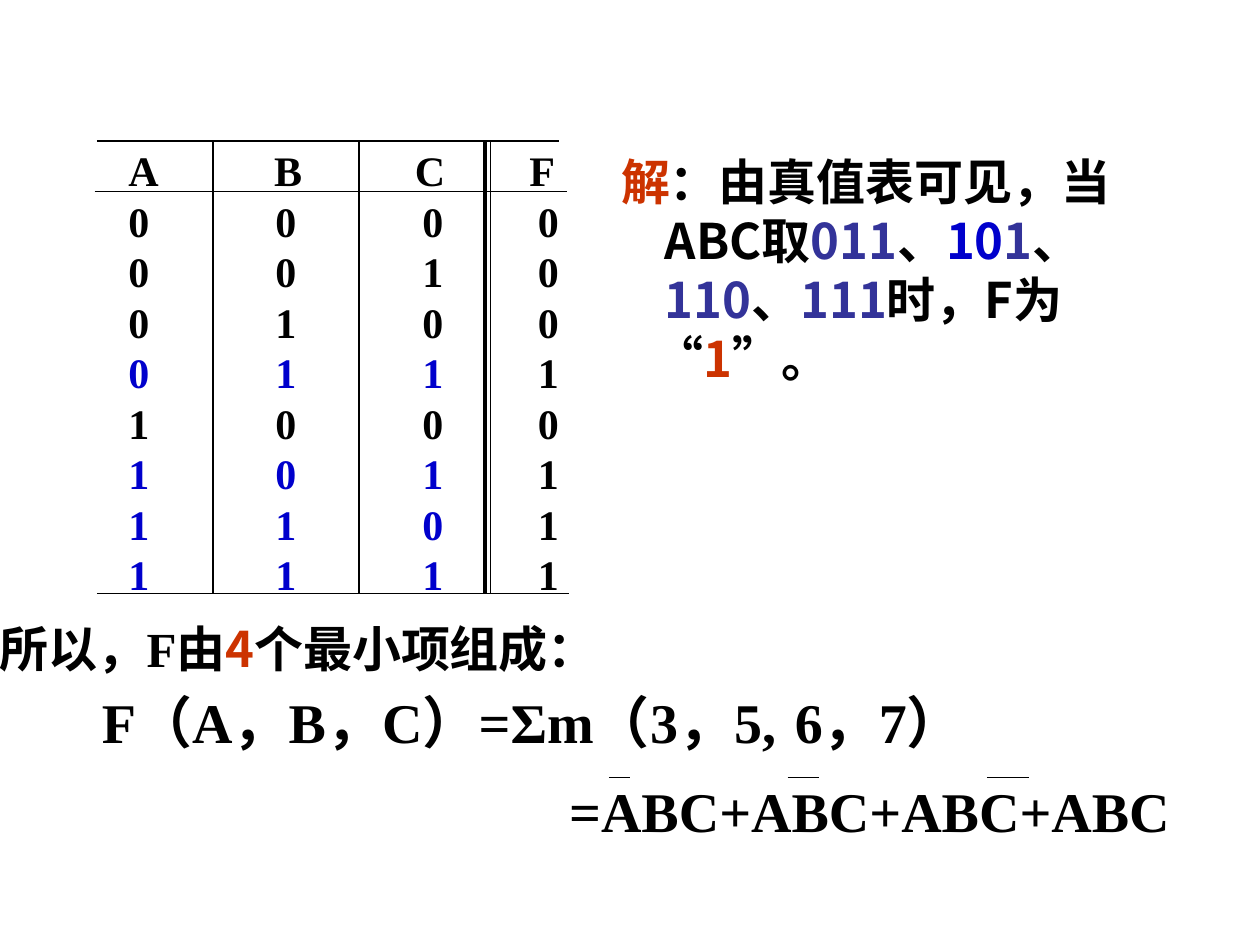
from dataclasses import dataclass

from lxml.etree import SubElement
from pptx import Presentation
from pptx.dml.color import RGBColor as Color
from pptx.enum.shapes import MSO_CONNECTOR as Connector
from pptx.enum.text import MSO_ANCHOR as Anchor, PP_ALIGN as Align
from pptx.oxml.ns import qn
from pptx.util import Pt


@dataclass(frozen=True)
class Theme:
    ink: str = "000000"
    accent: str = "CC3300"
    minterm: str = "0000CC"
    violet: str = "333399"
    serif: str = "Times New Roman"
    sans: str = "Noto Sans CJK SC"
    table_size: float = 24
    body_size: float = 28
    formula_size: float = 32
    leading: float = 1.2


THEME = Theme()


@dataclass(frozen=True)
class Piece:
    text: str
    color: str = THEME.ink
    font: str = THEME.sans


@dataclass(frozen=True)
class Line:
    pieces: tuple[Piece, ...]
    indent: float = 0
    tab: float = 0


@dataclass(frozen=True)
class TextBlock:
    left: float
    top: float
    width: float
    height: float
    size: float
    lines: tuple[Line, ...]
    align: Align = Align.LEFT
    wrap: bool = True


@dataclass(frozen=True)
class Rule:
    x1: float
    y1: float
    x2: float
    y2: float
    weight: float = 0.75


def add_span(para, piece: Piece, size: float) -> None:
    span = para.add_run()
    span.text = piece.text
    span.font.size = Pt(size)
    span.font.bold = True
    span.font.name = piece.font
    span.font.color.rgb = Color.from_string(piece.color)
    SubElement(span._r.get_or_add_rPr(), qn("a:ea"), typeface=THEME.sans)


def add_text(page, block: TextBlock) -> None:
    box = page.shapes.add_textbox(Pt(block.left), Pt(block.top), Pt(block.width), Pt(block.height))
    frame = box.text_frame
    frame.word_wrap = block.wrap
    for index, line in enumerate(block.lines):
        para = frame.paragraphs[0] if index == 0 else frame.add_paragraph()
        properties = para._p.get_or_add_pPr()
        properties.set("marL", str(Pt(line.indent)))
        properties.set("indent", "0")
        if line.tab:
            stops = SubElement(properties, qn("a:tabLst"))
            SubElement(stops, qn("a:tab"), pos=str(Pt(line.tab)), algn="l")
        para.alignment = block.align
        para.line_spacing = Pt(block.size * THEME.leading)
        for piece in line.pieces:
            add_span(para, piece, block.size)


def add_rule(page, rule: Rule) -> None:
    line = page.shapes.add_connector(
        Connector.STRAIGHT, Pt(rule.x1), Pt(rule.y1), Pt(rule.x2), Pt(rule.y2))
    line.line.color.rgb = Color.from_string(THEME.ink)
    line.line.width = Pt(rule.weight)
    SubElement(line._element.spPr, qn("a:effectLst"))


# Truth table geometry: column edges, then text insets for header and digits
COLUMN_EDGES = (55.4, 121.7, 205.2, 278.6, 325)
HEADER_INSETS = (18, 35, 32, 24)
DIGIT_INSETS = (18, 35.7, 36.2, 28.8)
TABLE_TOP, ROW_HEIGHT = 84.3, 28.8
NO_STYLE = "{2D5ABB26-0587-4C30-8999-92F81FD0307C}"


def truth_rows() -> list[tuple[str, ...]]:
    """Majority function: F is 1 when at least two inputs are 1."""
    rows = [("A", "B", "C", "F")]
    for number in range(8):
        bits = f"{number:03b}"
        rows.append((*bits, str(int(bits.count("1") >= 2))))
    return rows


def add_truth_table(page) -> None:
    rows = truth_rows()
    holder = page.shapes.add_table(
        len(rows), 4, Pt(COLUMN_EDGES[0]), Pt(TABLE_TOP),
        Pt(COLUMN_EDGES[-1] - COLUMN_EDGES[0]), Pt(ROW_HEIGHT * len(rows)))
    table = holder.table
    table.first_row = table.horz_banding = False
    table._tbl.tblPr.find(qn("a:tableStyleId")).text = NO_STYLE
    for column, left, right in zip(table.columns, COLUMN_EDGES, COLUMN_EDGES[1:]):
        column.width = Pt(right - left)
    for r, values in enumerate(rows):
        table.rows[r].height = Pt(ROW_HEIGHT)
        insets = DIGIT_INSETS if r else HEADER_INSETS
        for c, value in enumerate(values):
            cell = table.cell(r, c)
            cell.fill.background()
            cell.margin_left = Pt(insets[c])
            cell.margin_right = cell.margin_top = cell.margin_bottom = Pt(0)
            cell.vertical_anchor = Anchor.MIDDLE
            color = THEME.minterm if c < 3 and values[3] == "1" else THEME.ink
            add_span(cell.text_frame.paragraphs[0], Piece(value, color, THEME.serif),
                     THEME.table_size)


SOLUTION = TextBlock(347.8, 83.3, 370, 141.8, THEME.body_size, (
    Line((Piece("解", THEME.accent), Piece("：由真值表可见，当"))),
    Line((Piece("ABC取"), Piece("011", THEME.violet), Piece("、"),
          Piece("10", THEME.minterm), Piece("1", THEME.violet), Piece("、")), indent=25),
    Line((Piece("110", THEME.violet), Piece("、"), Piece("111", THEME.violet),
          Piece("时，F为")), indent=25),
    Line((Piece("“"), Piece("1", THEME.accent), Piece("”。")), indent=19),
))
CONCLUSION = TextBlock(-7.2, 349.7, 389, 41, THEME.body_size, (
    Line((Piece("所以，"), Piece("F", font=THEME.serif), Piece("由"),
          Piece("4", THEME.accent), Piece("个最小项组成："))),
))
SUM_FORMULA = TextBlock(51.1, 389.5, 650, 46, THEME.formula_size, (
    Line((Piece("F（A，B，C）=Σm（3，5,\t6，7）", font=THEME.serif),), tab=500),
))
PRODUCT_FORMULA = TextBlock(318.2, 440, 357.8, 46, THEME.formula_size, (
    Line((Piece("=ABC+ABC+ABC+ABC", font=THEME.serif),)),
), Align.CENTER, wrap=False)

TOP, BOTTOM, BAR = 80.6, 339.1, 444.2
TABLE_RULES = (
    Rule(55.4, TOP, 319.7, TOP, 1.5),
    Rule(54, 109.4, 324, 109.4),
    Rule(55.4, BOTTOM, 325.4, BOTTOM),
    *(Rule(x, TOP, x, BOTTOM, weight)
      for x, weight in ((121.7, 0.75), (205.2, 0.75), (277.2, 2.25), (280.1, 0.75))),
)
NEGATION_BARS = tuple(
    Rule(left, BAR, right, BAR) for left, right in ((348, 360), (450, 468), (564, 588)))


def main() -> None:
    deck = Presentation()
    deck.slide_width, deck.slide_height = Pt(720), Pt(540)
    page = deck.slides.add_slide(deck.slide_layouts[6])

    # Explanation and conclusion
    for block in (SOLUTION, CONCLUSION, SUM_FORMULA):
        add_text(page, block)

    # Truth table with its rules
    add_truth_table(page)
    for rule in TABLE_RULES:
        add_rule(page, rule)

    # Sum of products with negation bars
    add_text(page, PRODUCT_FORMULA)
    for rule in NEGATION_BARS:
        add_rule(page, rule)

    deck.save("out.pptx")


if __name__ == "__main__":
    main()
